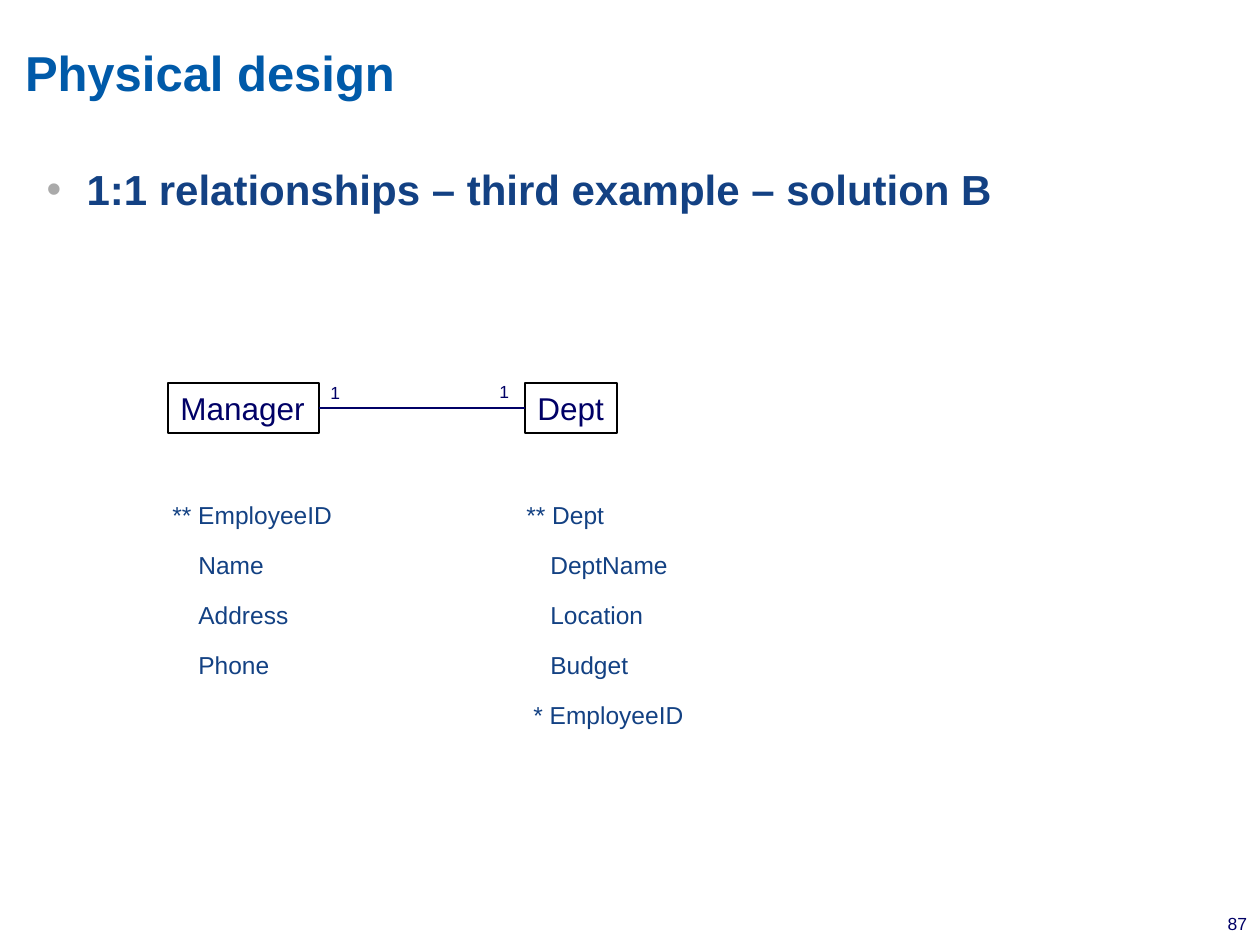
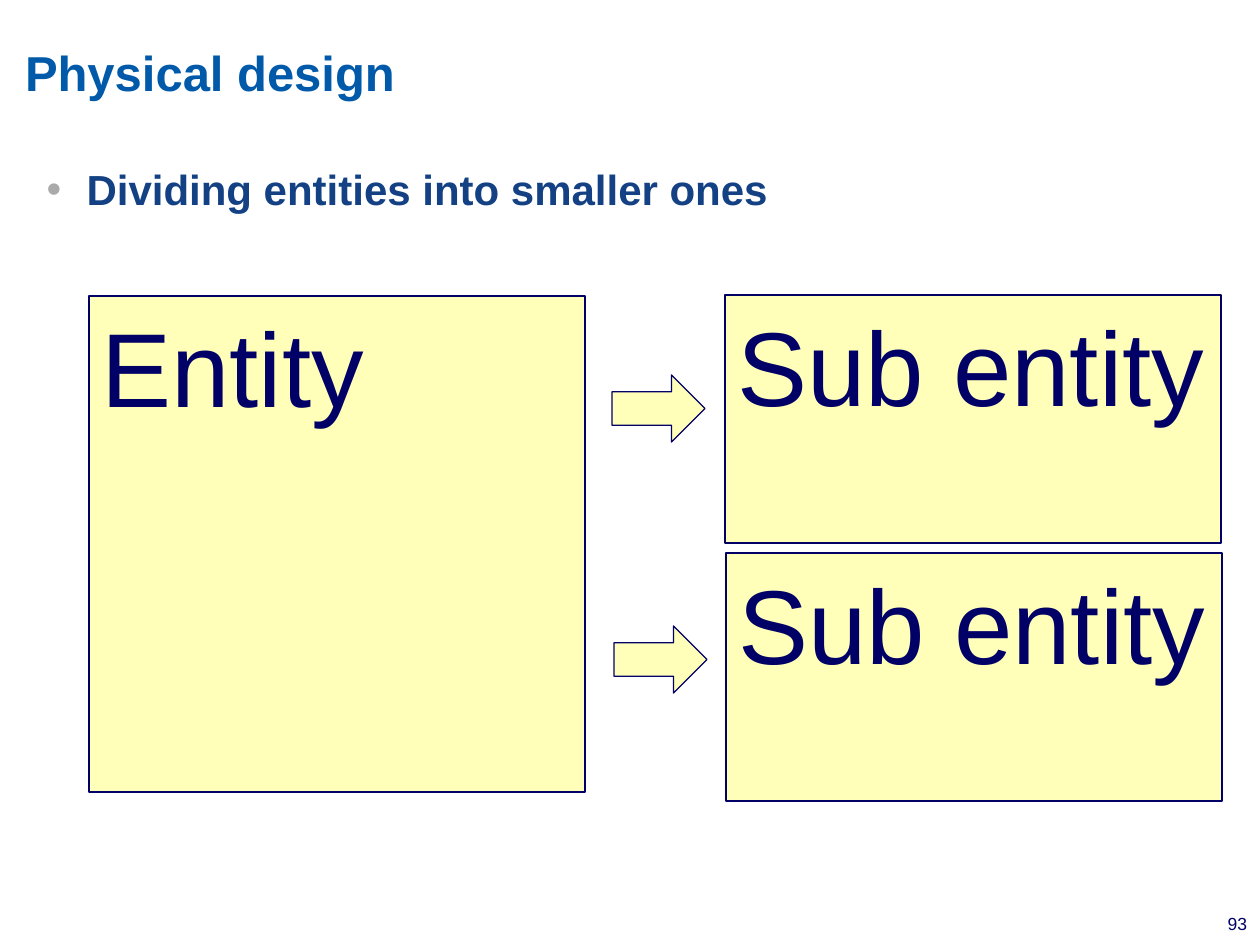
from lxml.etree import SubElement
from pptx import Presentation
from pptx.dml.color import RGBColor
from pptx.enum.shapes import MSO_CONNECTOR, MSO_SHAPE as SHAPE
from pptx.enum.text import MSO_ANCHOR as ANCHOR, MSO_AUTO_SIZE, PP_ALIGN as ALIGN
from pptx.oxml.ns import qn
from pptx.util import Inches, Pt

PX = 7257  # EMU per px, 126 px to the inch
FONT = "Arial"
TITLE_BLUE = RGBColor(0x00, 0x5A, 0xA9)
BODY_BLUE = RGBColor(0x13, 0x41, 0x83)
NAVY = RGBColor(0x00, 0x00, 0x66)
BLACK = RGBColor(0x00, 0x00, 0x00)
YELLOW = RGBColor(0xFF, 0xFF, 0xB9)
BULLET_GREY = "AAAAAA"


def style(paragraph, size, color, bold=False, align=ALIGN.LEFT):
    paragraph.alignment = align
    paragraph.font.name = FONT
    paragraph.font.size = Pt(size)
    paragraph.font.bold = bold
    paragraph.font.color.rgb = color


def add_block(slide, kind, bounds, line, fill=None, text="", size=18):
    block = slide.shapes.add_shape(kind, *(n * PX for n in bounds))
    block.shadow.inherit = False
    block.line.color.rgb = line
    block.line.width = Pt(0.75)
    if fill is None:
        block.fill.background()
    else:
        block.fill.solid()
        block.fill.fore_color.rgb = fill
    if text:
        block.text_frame.text = text
        block.text_frame.vertical_anchor = ANCHOR.TOP
        style(block.text_frame.paragraphs[0], size, NAVY)
    return block


prs = Presentation()
prs.slide_width, prs.slide_height = Inches(10), Inches(7.5)

# Shared title, bulleted heading and page number
pages = []
for heading, number in (
    ("1:1 relationships – third example – solution B", "87"),
    ("Dividing entities into smaller ones", "93"),
):
    slide = prs.slides.add_slide(prs.slide_layouts[1])
    title, body = slide.shapes.title, slide.placeholders[1]

    title.left, title.top, title.width, title.height = 0, 0, 1260 * PX, 136 * PX
    frame = title.text_frame
    frame.text = "Physical design"
    frame.auto_size = MSO_AUTO_SIZE.NONE
    frame.vertical_anchor = ANCHOR.MIDDLE
    frame.margin_left = frame.margin_top = 25 * PX
    frame.margin_right, frame.margin_bottom = 248 * PX, 18 * PX
    style(frame.paragraphs[0], 28, TITLE_BLUE, bold=True)

    body.left, body.top, body.width, body.height = (n * PX for n in (34, 147, 1200, 767))
    frame = body.text_frame
    frame.text = heading
    frame.auto_size = MSO_AUTO_SIZE.NONE
    paragraph = frame.paragraphs[0]
    paragraph.line_spacing = 1.2
    paragraph.space_before = Pt(0)
    props = paragraph._p.get_or_add_pPr()
    props.set("marL", str(40 * PX))
    props.set("indent", str(-40 * PX))
    SubElement(SubElement(props, qn("a:buClr")), qn("a:srgbClr"), val=BULLET_GREY)
    SubElement(props, qn("a:buChar"), char="•")
    style(paragraph, 24, BODY_BLUE, bold=True)

    page_number = slide.shapes.add_textbox(806 * PX, 907 * PX, 441 * PX, 21 * PX)
    frame = page_number.text_frame
    frame.text = number
    frame.word_wrap = True
    frame.margin_left = frame.margin_right = 0
    style(frame.paragraphs[0], 10, NAVY, align=ALIGN.RIGHT)
    pages.append(slide)

relationship, division = pages

# Attribute columns: text and tab stops of each row
KEY_STOPS, FIELD_STOPS, FOREIGN_STOPS = (126, 480), (152, 504), (487,)
attributes = relationship.shapes.add_textbox(34 * PX, 488 * PX, 1200 * PX, 250 * PX)
attributes.text_frame.word_wrap = True
for row, (text, stops) in enumerate((
    ("\t** EmployeeID\t** Dept", KEY_STOPS),
    ("\tName\tDeptName", FIELD_STOPS),
    ("\tAddress\tLocation", FIELD_STOPS),
    ("\tPhone\tBudget", FIELD_STOPS),
    ("\t* EmployeeID", FOREIGN_STOPS),
)):
    frame = attributes.text_frame
    paragraph = frame.add_paragraph() if row else frame.paragraphs[0]
    paragraph.text = text
    paragraph.line_spacing = 1.2
    paragraph.space_before = Pt(8.4 if row else 0)
    tabs = SubElement(paragraph._p.get_or_add_pPr(), qn("a:tabLst"))
    for stop in stops:
        SubElement(tabs, qn("a:tab"), pos=str(stop * PX), algn="l")
    style(paragraph, 14, BODY_BLUE)

# Manager and Dept joined one to one
manager = add_block(relationship, SHAPE.RECTANGLE, (168, 383, 151, 50), BLACK, text="Manager")
dept = add_block(relationship, SHAPE.RECTANGLE, (525, 383, 92, 50), BLACK, text="Dept")
for entity in (manager, dept):
    entity.text_frame.word_wrap = False
link = relationship.shapes.add_connector(
    MSO_CONNECTOR.STRAIGHT, 319 * PX, 408 * PX, 525 * PX, 408 * PX)
link.begin_connect(manager, 3)
link.end_connect(dept, 1)
link.line.color.rgb = NAVY
link.line.width = Pt(0.75)
SubElement(link._element.spPr, qn("a:effectLst"))
for left, top in ((318, 376), (487, 375)):
    cardinality = relationship.shapes.add_textbox(left * PX, top * PX, 35 * PX, 34 * PX)
    cardinality.text_frame.text = "1"
    cardinality.text_frame.word_wrap = False
    style(cardinality.text_frame.paragraphs[0], 10, NAVY)

# Entity split into two sub entities
for text, bounds in (
    ("Entity", (89, 296, 496, 496)),
    ("Sub entity", (725, 295, 496, 248)),
    ("Sub entity", (726, 553, 496, 248)),
):
    entity = add_block(division, SHAPE.RECTANGLE, bounds, NAVY, YELLOW, text, 60)
    entity.text_frame.word_wrap = True
for left, top in ((612, 375), (614, 626)):
    add_block(division, SHAPE.RIGHT_ARROW, (left, top, 93, 67), NAVY, YELLOW)

prs.save("out.pptx")
